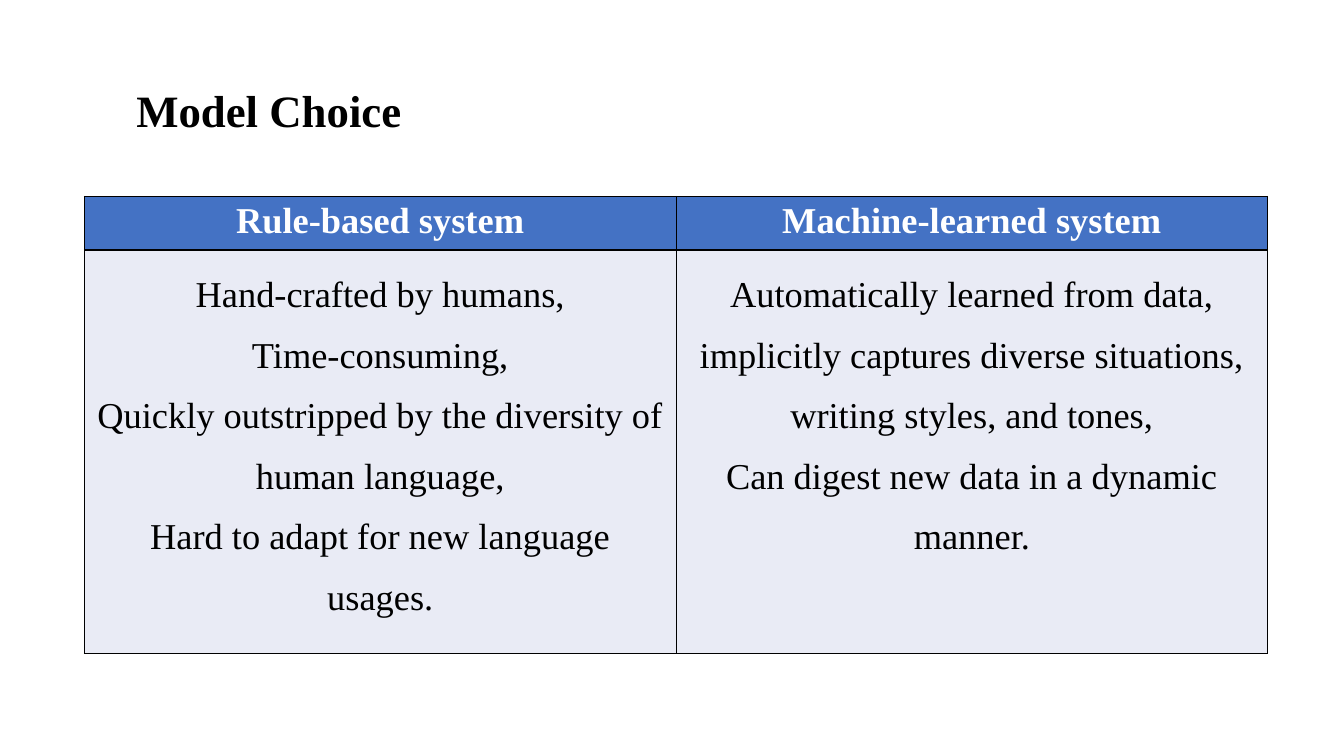
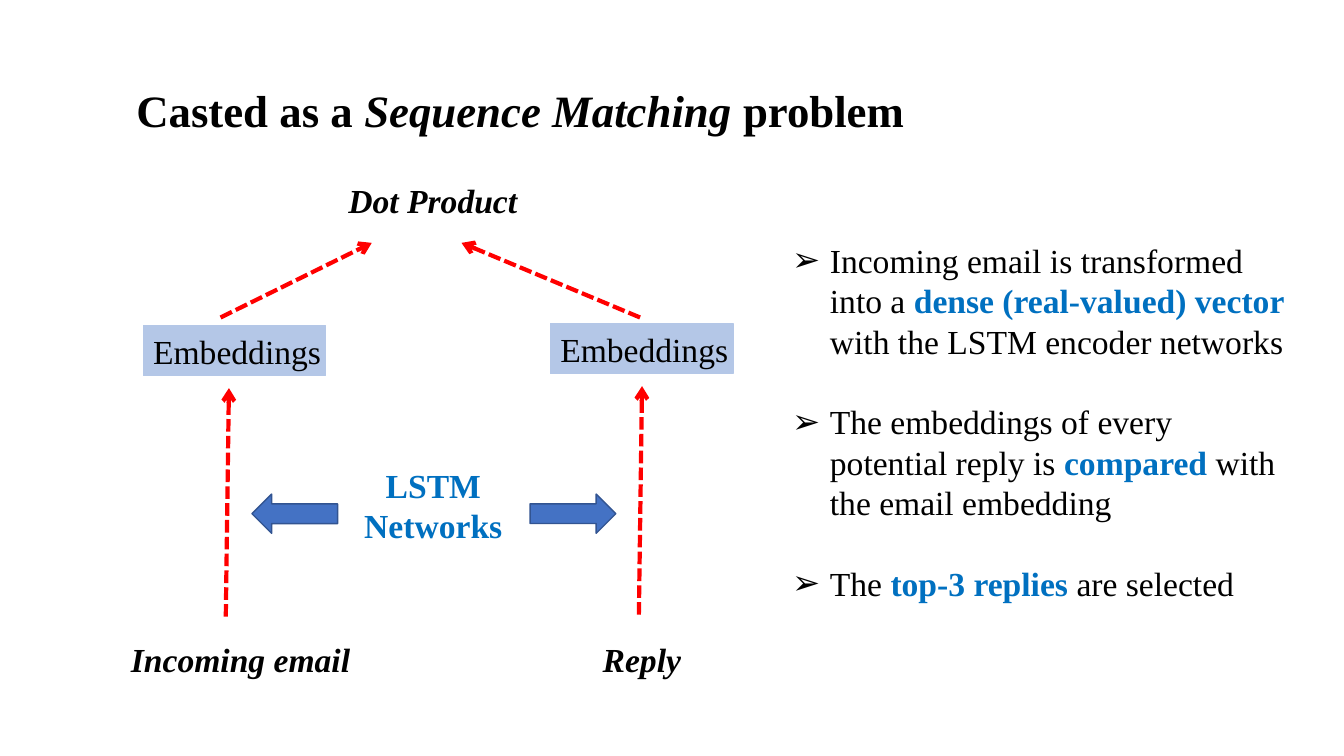
from pptx import Presentation
from pptx.dml.color import RGBColor
from pptx.enum.dml import MSO_LINE
from pptx.enum.shapes import MSO_CONNECTOR, MSO_SHAPE
from pptx.enum.text import MSO_ANCHOR, MSO_AUTO_SIZE, PP_ALIGN
from pptx.oxml import parse_xml
from pptx.oxml.ns import nsdecls, qn
from pptx.util import Cm, Pt

BLACK = RGBColor(0x00, 0x00, 0x00)
WHITE = RGBColor(0xFF, 0xFF, 0xFF)
RED = RGBColor(0xFF, 0x00, 0x00)
BLUE = RGBColor(0x44, 0x72, 0xC4)
DARK_BLUE = RGBColor(0x32, 0x54, 0x91)
LIGHT_BLUE = RGBColor(0xB4, 0xC7, 0xE7)
PALE_BLUE = RGBColor(0xE9, 0xEB, 0xF5)
HIGHLIGHT = RGBColor(0x00, 0x70, 0xC0)

FONT = "Times New Roman"
TITLE_ONLY, TITLE_AND_CONTENT = 5, 1
STRONG = {"bold": True, "color": HIGHLIGHT}


def write_text(paragraph, text, size=24, color=BLACK, bold=False, italic=False,
               align=PP_ALIGN.LEFT, spacing=None, before=0):
    """Fill a paragraph with a string, or with (string, overrides) parts."""
    paragraph.alignment = align
    paragraph.space_before = Pt(before)
    if spacing:
        paragraph.line_spacing = spacing
    parts = [(text, {})] if isinstance(text, str) else text
    for content, overrides in parts:
        style = {"color": color, "bold": bold, "italic": italic, **overrides}
        run = paragraph.add_run()
        run.text = content
        run.font.name = FONT
        run.font.size = Pt(size)
        run.font.color.rgb = style["color"]
        run.font.bold = style["bold"]
        run.font.italic = style["italic"]


def write_lines(frame, lines, **style):
    for index, line in enumerate(lines):
        paragraph = frame.add_paragraph() if index else frame.paragraphs[0]
        write_text(paragraph, line, **style)


def place(shape, left, top, width, height):
    shape.left, shape.top = Cm(left), Cm(top)
    shape.width, shape.height = Cm(width), Cm(height)


class Deck:
    def __init__(self):
        self.presentation = Presentation()
        self.presentation.slide_width = Cm(33.87)
        self.presentation.slide_height = Cm(19.05)
        self.slide = None

    def new_slide(self, title, layout):
        layouts = self.presentation.slide_layouts
        self.slide = self.presentation.slides.add_slide(layouts[layout])
        shape = self.slide.shapes.title
        place(shape, 3.18, 0.61, 24, 2.57)
        self.prepare_frame(shape.text_frame)
        write_text(shape.text_frame.paragraphs[0], title, size=32, bold=True, spacing=2.0)

    def prepare_frame(self, frame, anchor=MSO_ANCHOR.TOP):
        frame.word_wrap = True
        frame.auto_size = MSO_AUTO_SIZE.NONE
        frame.vertical_anchor = anchor

    def bullets(self, items, left, top, width, height, gap):
        body = self.slide.placeholders[1]
        place(body, left, top, width, height)
        frame = body.text_frame
        self.prepare_frame(frame)
        for index, item in enumerate(items):
            paragraph = frame.add_paragraph() if index else frame.paragraphs[0]
            properties = paragraph._p.get_or_add_pPr()
            properties.set("marL", str(Cm(0.95)))
            properties.set("indent", str(-Cm(0.95)))
            properties.append(parse_xml(f'<a:buChar {nsdecls("a")} char="➢"/>'))
            write_text(paragraph, item, before=gap if index else 0)

    def label(self, text, left, top, width, height=1.27, **style):
        box = self.slide.shapes.add_textbox(Cm(left), Cm(top), Cm(width), Cm(height))
        self.prepare_frame(box.text_frame)
        write_text(box.text_frame.paragraphs[0], text, **style)

    def shape(self, kind, left, top, width, height, fill, line, text="", rotation=0):
        shape = self.slide.shapes.add_shape(kind, Cm(left), Cm(top), Cm(width), Cm(height))
        shape.shadow.inherit = False
        shape.rotation = rotation
        shape.fill.solid()
        shape.fill.fore_color.rgb = fill
        shape.line.color.rgb = line
        shape.line.width = Pt(1)
        if text:
            self.prepare_frame(shape.text_frame, MSO_ANCHOR.MIDDLE)
            shape.text_frame.margin_right = 0
            write_text(shape.text_frame.paragraphs[0], text)

    def dashed_arrow(self, start, end):
        points = [Cm(value) for value in (*start, *end)]
        connector = self.slide.shapes.add_connector(MSO_CONNECTOR.STRAIGHT, *points)
        connector.line.color.rgb = RED
        connector.line.width = Pt(3)
        connector.line.dash_style = MSO_LINE.SQUARE_DOT
        properties = connector._element.spPr
        properties.find(qn("a:ln")).append(
            parse_xml(f'<a:tailEnd {nsdecls("a")} type="arrow"/>'))
        properties.append(parse_xml(f'<a:effectLst {nsdecls("a")}/>'))

    def cell(self, cell, lines, fill, **style):
        properties = cell._tc.get_or_add_tcPr()
        for side in ("lnL", "lnR", "lnT", "lnB"):
            properties.append(parse_xml(
                f'<a:{side} {nsdecls("a")} w="{Pt(1)}"><a:solidFill>'
                f'<a:srgbClr val="{BLACK}"/></a:solidFill></a:{side}>'))
        cell.fill.solid()
        cell.fill.fore_color.rgb = fill
        write_lines(cell.text_frame, lines, size=26, align=PP_ALIGN.CENTER, **style)

    def comparison_table(self, columns, left, top, column_width, row_heights):
        """Draw one column for each (heading, lines) pair."""
        frame = self.slide.shapes.add_table(
            len(row_heights), len(columns), Cm(left), Cm(top),
            Cm(column_width * len(columns)), Cm(sum(row_heights)))
        table = frame.table
        for row, height in zip(table.rows, row_heights):
            row.height = Cm(height)
        for index, (heading, lines) in enumerate(columns):
            table.columns[index].width = Cm(column_width)
            self.cell(table.cell(0, index), [heading], BLUE, color=WHITE, bold=True)
            self.cell(table.cell(1, index), lines, PALE_BLUE, spacing=1.5)


def add_model_choice(deck):
    deck.new_slide("Model Choice", TITLE_ONLY)
    deck.comparison_table([
        ("Rule-based system", [
            "Hand-crafted by humans,",
            "Time-consuming,",
            "Quickly outstripped by the diversity of human language,",
            "Hard to adapt for new language usages."]),
        ("Machine-learned system", [
            "Automatically learned from data,",
            "implicitly captures diverse situations, writing styles, and tones,",
            "Can digest new data in a dynamic manner."]),
    ], left=2.13, top=4.95, column_width=14.91, row_heights=(1.35, 10.16))


def add_sequence_matching(deck):
    deck.new_slide([("Casted as a ", {}), ("Sequence Matching ", {"italic": True}),
                    ("problem", {})], TITLE_AND_CONTENT)

    for text, left, top in (("Incoming email", 3.05, 15.98), ("Reply", 14.94, 15.98),
                            ("Dot Product", 8.53, 4.42)):
        deck.label(text, left, top, 8, bold=True, italic=True)
    deck.label("LSTM Networks", 8.66, 11.58, 4.52, 2.31, align=PP_ALIGN.CENTER, **STRONG)

    for left, top in ((3.61, 8.2), (13.87, 8.15)):
        deck.shape(MSO_SHAPE.RECTANGLE, left, top, 4.6, 1.27, LIGHT_BLUE, LIGHT_BLUE,
                   text="Embeddings")
    for left, rotation in ((6.35, 180), (13.36, 0)):
        deck.shape(MSO_SHAPE.RIGHT_ARROW, left, 12.45, 2.16, 0.99, BLUE, DARK_BLUE,
                   rotation=rotation)

    for start, end in (((5.69, 15.54), (5.77, 9.78)), ((16.1, 15.49), (16.18, 9.73)),
                       ((5.56, 8), (9.37, 6.12)), ((16.13, 8), (11.63, 6.12))):
        deck.dashed_arrow(start, end)

    deck.bullets([
        [("Incoming email is transformed into a ", {}),
         ("dense (real-valued) vector ", STRONG),
         ("with the LSTM encoder networks", {})],
        [("The embeddings of every potential reply is ", {}),
         ("compared ", STRONG),
         ("with the email embedding", {})],
        [("The ", {}), ("top-3 replies ", STRONG), ("are selected", {})],
    ], left=19.71, top=5.92, width=13.13, height=9.5, gap=28.8)


def main():
    deck = Deck()
    add_model_choice(deck)
    add_sequence_matching(deck)
    deck.presentation.save("out.pptx")


if __name__ == "__main__":
    main()
